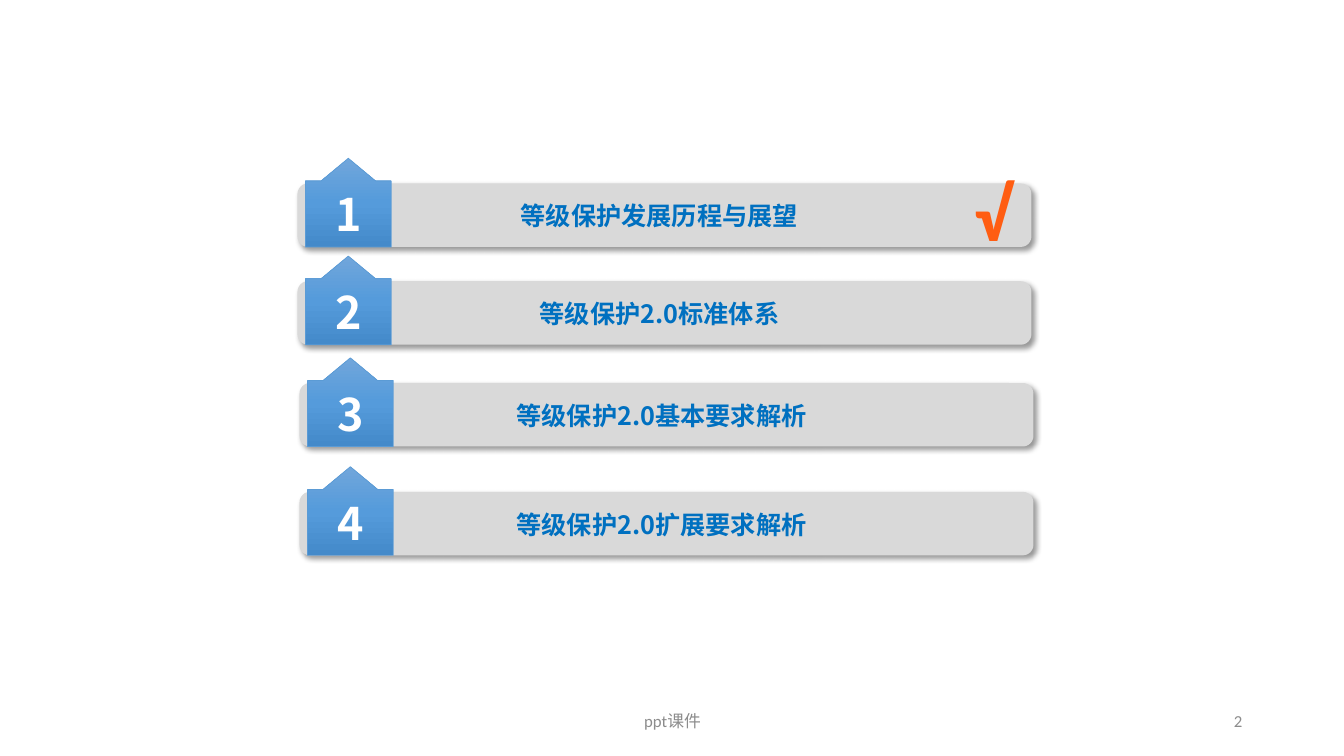
from dataclasses import dataclass

from lxml.etree import SubElement
from pptx import Presentation
from pptx.dml.color import RGBColor
from pptx.enum.shapes import MSO_SHAPE
from pptx.enum.text import MSO_ANCHOR, MSO_AUTO_SIZE, PP_ALIGN
from pptx.oxml.ns import qn
from pptx.util import Inches, Pt

NOTO, LATIN = "Noto Sans CJK SC", "Calibri"
BLUES = [(0, "71A6DB"), (50, "559BDB"), (100, "448ACA")]
REDS = [(0, "FFAC8E"), (75, "FF5D12"), (100, "D45600")]
DIGIT = {"size": Pt(32), "bold": True, "name": NOTO}
LABEL = {"size": Pt(18), "bold": True, "name": NOTO}
CHECK = {"size": Pt(54), "bold": True, "name": LATIN}
SMALL = {"size": Pt(12), "bold": False, "name": LATIN}
GROW = {"word_wrap": True, "auto_size": MSO_AUTO_SIZE.SHAPE_TO_FIT_TEXT}
MIDDLE = {"word_wrap": True, "vertical_anchor": MSO_ANCHOR.MIDDLE}


@dataclass
class Item:
    """One agenda row, placed by the corner of its bar."""
    left: float
    top: float
    text: str


ITEMS = [
    Item(2.95, 1.82, "等级保护发展历程与展望"),
    Item(2.95, 2.79, "等级保护2.0标准体系"),
    Item(2.97, 3.80, "等级保护2.0基本要求解析"),
    Item(2.97, 4.88, "等级保护2.0扩展要求解析"),
]


def paint(fill, color: str) -> None:
    """Fill with one hex colour."""
    fill.solid()
    fill.fore_color.rgb = RGBColor.from_string(color)


def blend(fill, owner, stops: list) -> None:
    """Fill downwards with a gradient of (percent, hex) stops."""
    fill.gradient()
    fill.gradient_angle = 270
    group = owner.find(qn("a:gradFill")).find(qn("a:gsLst"))
    for old in list(group):
        group.remove(old)
    for place, color in stops:
        stop = SubElement(group, qn("a:gs"), pos=str(place * 1000))
        SubElement(stop, qn("a:srgbClr"), val=color)


def shade(shape) -> None:
    """Give a shape a soft shadow to the lower right."""
    shape.shadow.inherit = False
    effects = shape._element.spPr.find(qn("a:effectLst"))
    outer = SubElement(effects, qn("a:outerShdw"), blurRad=str(Pt(4)),
                       dist=str(Pt(3)), dir="2700000", algn="tl", rotWithShape="0")
    tone = SubElement(outer, qn("a:srgbClr"), val="000000")
    SubElement(tone, qn("a:alpha"), val="40000")


def add_shape(slide, kind, box: tuple):
    """Add a preset shape without a shadow."""
    shape = slide.shapes.add_shape(kind, *map(Inches, box))
    shape.shadow.inherit = False
    return shape


def write(shape, text: str, style: dict, color, frame: dict,
          align=PP_ALIGN.CENTER) -> None:
    """Write one line of styled text, in a hex colour or gradient stops."""
    body = shape.text_frame
    for name, value in frame.items():
        setattr(body, name, value)
    line = body.paragraphs[0]
    line.alignment = align
    run = line.add_run()
    run.text = text
    for name, value in style.items():
        setattr(run.font, name, value)
    props = run._r.get_or_add_rPr()
    if isinstance(color, str):
        paint(run.font.fill, color)
    else:
        blend(run.font.fill, props, color)
    SubElement(props, qn("a:ea"), typeface=NOTO)


def add_text(slide, box: tuple, *args, **more) -> None:
    """Add a text box with one line."""
    write(slide.shapes.add_textbox(*map(Inches, box)), *args, **more)


def add_item(slide, number: int, item: Item) -> None:
    """Draw the bar, numbered arrow and label of a row."""
    bar = add_shape(slide, MSO_SHAPE.ROUNDED_RECTANGLE,
                    (item.left, item.top, 7.28, 0.63))
    paint(bar.fill, "D9D9D9")
    bar.line.fill.background()
    shade(bar)
    arrow = add_shape(slide, MSO_SHAPE.UP_ARROW_CALLOUT,
                      (item.left + 0.08, item.top - 0.25, 0.85, 0.88))
    for index, value in enumerate((1.606, 0.318, 0.265, 0.81)):
        arrow.adjustments[index] = value
    blend(arrow.fill, arrow._element.spPr, BLUES)
    paint(arrow.line.fill, "5B9BD5")
    arrow.line.width = Pt(0.5)
    write(arrow, str(number), DIGIT, "FFFFFF", MIDDLE)
    add_text(slide, (item.left + 0.95, item.top + 0.12, 5.28, 0.4),
             item.text, LABEL, "0070C0", GROW)


def main() -> None:
    """Build and save the slide."""
    deck = Presentation()
    deck.slide_width, deck.slide_height = Inches(13.33), Inches(7.5)
    slide = deck.slides.add_slide(deck.slide_layouts[6])
    for number, item in enumerate(ITEMS, 1):
        add_item(slide, number, item)
    add_text(slide, (9.46, 1.6, 0.78, 1.01), "√", CHECK, REDS, GROW)
    add_text(slide, (9.42, 6.95, 3, 0.4), "2", SMALL, "8C8C8C", MIDDLE,
             align=PP_ALIGN.RIGHT)
    add_text(slide, (4.42, 6.95, 4.5, 0.4), "ppt课件", SMALL, "8C8C8C", MIDDLE)
    deck.save("out.pptx")


if __name__ == "__main__":
    main()
